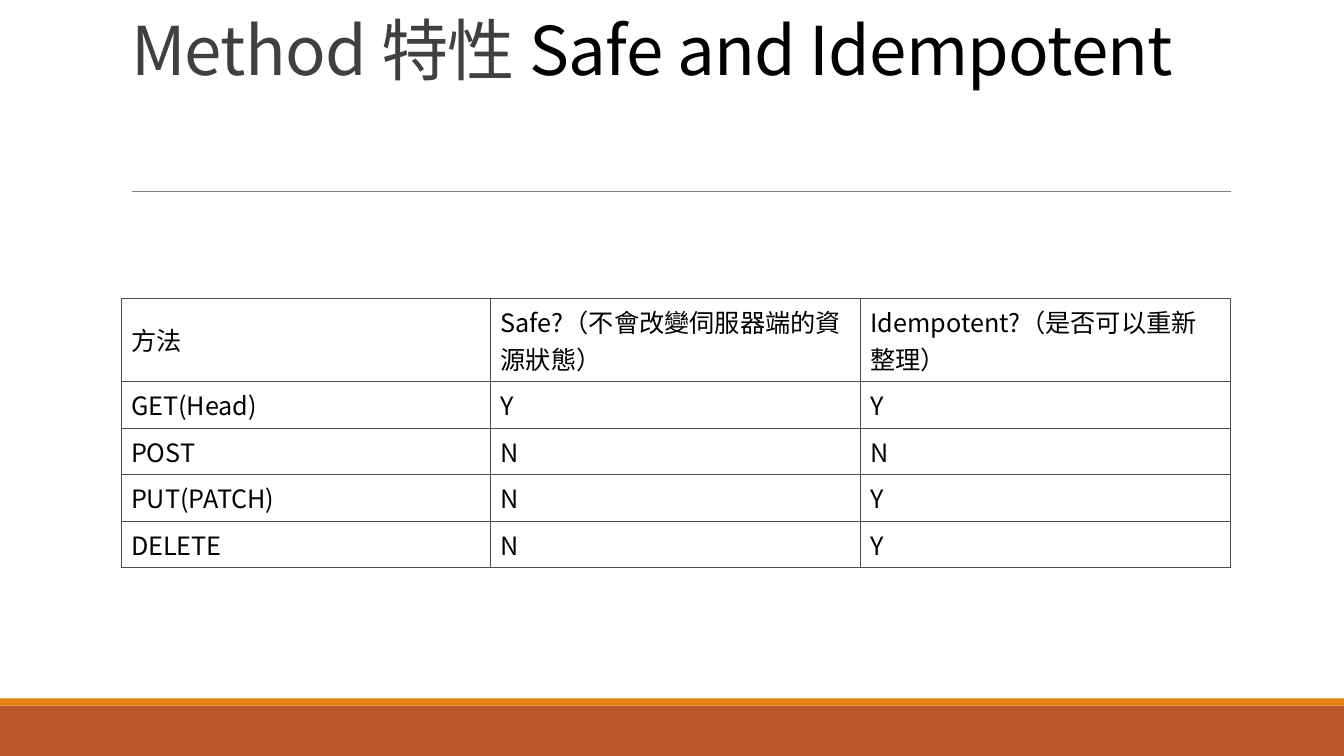
from lxml.etree import SubElement
from pptx import Presentation
from pptx.dml.color import RGBColor
from pptx.enum.shapes import MSO_CONNECTOR, MSO_SHAPE
from pptx.enum.text import MSO_ANCHOR, MSO_AUTO_SIZE, PP_ALIGN
from pptx.oxml.ns import qn
from pptx.util import Inches, Pt

WHITE = RGBColor(0xFF, 0xFF, 0xFF)
BLACK = RGBColor(0, 0, 0)
DARK_GRAY = RGBColor(0x40, 0x40, 0x40)
BORDER_GRAY = RGBColor(0x4D, 0x4D, 0x4D)
RULE_GRAY = RGBColor(0x80, 0x80, 0x80)
RUST = RGBColor(0xBD, 0x58, 0x2C)
ORANGE = RGBColor(0xE4, 0x83, 0x12)

FONT = "Noto Sans CJK SC"
SLIDE_W, SLIDE_H = Inches(13.33), Inches(7.5)
LEFT, CONTENT_W = Inches(1.2), Inches(11)
HEADER_H, ROW_H = Inches(0.82), Inches(0.46)

METHODS = [
    ("方法", "Safe?（不會改變伺服器端的資源狀態）", "Idempotent?（是否可以重新整理）"),
    ("GET(Head)", "Y", "Y"),
    ("POST", "N", "N"),
    ("PUT(PATCH)", "N", "Y"),
    ("DELETE", "N", "Y"),
]


def set_run_font(r, size, color):
    """Use the same typeface for Latin and East Asian text."""
    r.font.size = Pt(size)
    r.font.name = FONT
    r.font.color.rgb = color
    SubElement(r.font._element, qn("a:ea"), typeface=FONT)


def add_band(slide, top, height, color):
    sp = slide.shapes.add_shape(MSO_SHAPE.RECTANGLE, 0, top, SLIDE_W, height)
    sp.shadow.inherit = False
    sp.fill.solid()
    sp.fill.fore_color.rgb = color
    sp.line.fill.background()


def add_rule(slide, left, right, y):
    line = slide.shapes.add_connector(MSO_CONNECTOR.STRAIGHT, left, y, right, y)
    line.line.color.rgb = RULE_GRAY
    line.line.width = Pt(0.5)
    SubElement(line._element.spPr, qn("a:effectLst"))


def fill_title(slide, parts):
    title = slide.shapes.title
    title.left, title.top = LEFT, Inches(0.16)
    title.width, title.height = CONTENT_W, Inches(1.74)
    tf = title.text_frame
    tf.auto_size = MSO_AUTO_SIZE.NONE
    tf.vertical_anchor = MSO_ANCHOR.TOP
    p = tf.paragraphs[0]
    p.alignment = PP_ALIGN.LEFT
    p.line_spacing = 0.85
    for text, color in parts:
        r = p.add_run()
        r.text = text
        set_run_font(r, 48, color)
        r.font._element.set("spc", "-50")


def format_cell(cell, text):
    cell.vertical_anchor = MSO_ANCHOR.MIDDLE
    r = cell.text_frame.paragraphs[0].add_run()
    r.text = text
    set_run_font(r, 18, BLACK)
    tc_pr = cell._tc.get_or_add_tcPr()
    for side in ("lnL", "lnR", "lnT", "lnB"):
        ln = SubElement(tc_pr, qn(f"a:{side}"), w=str(Pt(0.6)))
        fill = SubElement(ln, qn("a:solidFill"))
        SubElement(fill, qn("a:srgbClr"), val=str(BORDER_GRAY))
    cell.fill.solid()
    cell.fill.fore_color.rgb = WHITE


def add_method_table(slide, rows, top):
    height = HEADER_H + ROW_H * (len(rows) - 1)
    table = slide.shapes.add_table(
        len(rows), len(rows[0]), LEFT, top, CONTENT_W, height).table
    table.horz_banding = False
    for i, texts in enumerate(rows):
        table.rows[i].height = ROW_H if i else HEADER_H
        for j, text in enumerate(texts):
            format_cell(table.cell(i, j), text)


def main():
    prs = Presentation()
    prs.slide_width, prs.slide_height = SLIDE_W, SLIDE_H
    slide = prs.slides.add_slide(prs.slide_layouts[5])
    add_band(slide, Inches(7), Inches(0.5), RUST)
    add_band(slide, Inches(6.93), Inches(0.07), ORANGE)
    add_rule(slide, Inches(1.31), Inches(12.21), Inches(1.9))
    fill_title(slide, [("Method 特性 ", DARK_GRAY), ("Safe and Idempotent", BLACK)])
    add_method_table(slide, METHODS, Inches(2.96))
    prs.save("out.pptx")


if __name__ == "__main__":
    main()
